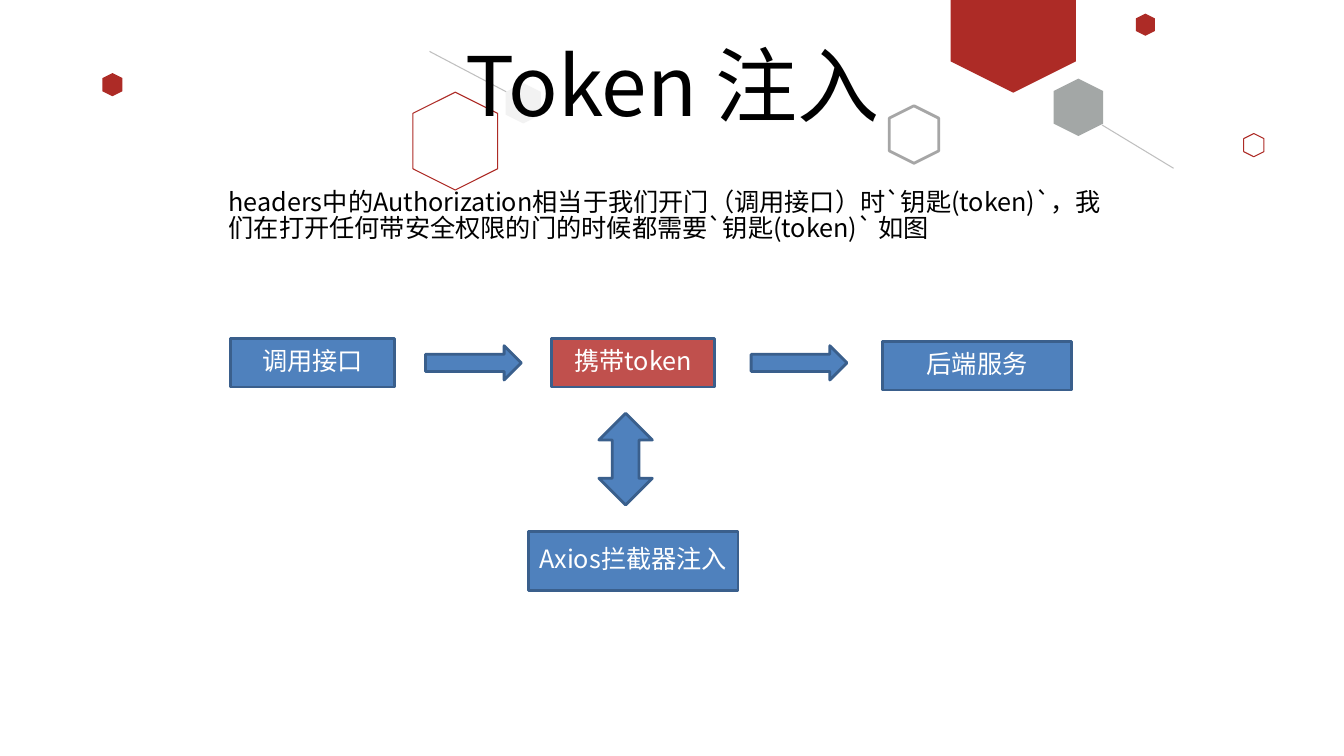
from lxml import etree
from pptx import Presentation
from pptx.dml.color import RGBColor
from pptx.enum.shapes import MSO_CONNECTOR, MSO_SHAPE
from pptx.enum.text import MSO_ANCHOR, MSO_AUTO_SIZE, PP_ALIGN
from pptx.oxml.ns import qn
from pptx.util import Pt

PX = 9144  # 100 px to the inch
FONT = "Noto Sans CJK JP"
COLORS = {
    "black": "000000", "white": "FFFFFF", "crimson": "AD2B26", "slate": "49504F",
    "gray": "A6A6A6", "silver": "BFBFBF", "pale": "F2F2F2",
    "blue": "4F81BD", "red": "C0504D", "edge": "3A5F8C",
}
HEXAGON, RECTANGLE = MSO_SHAPE.HEXAGON, MSO_SHAPE.RECTANGLE
RIGHT_ARROW, UP_DOWN_ARROW = MSO_SHAPE.RIGHT_ARROW, MSO_SHAPE.UP_DOWN_ARROW
STRAIGHT = MSO_CONNECTOR.STRAIGHT
TOP, MIDDLE = MSO_ANCHOR.TOP, MSO_ANCHOR.MIDDLE
LEFT, CENTER = PP_ALIGN.LEFT, PP_ALIGN.CENTER
NO_FIT = MSO_AUTO_SIZE.NONE


def color(name):
    return RGBColor.from_string(COLORS[name])


def emu(*lengths):
    return [length * PX for length in lengths]


def set_all(target, values):
    for name, value in values.items():
        setattr(target, name, value)


def paint(shape, fill=None, line=None, width=1):
    shape.shadow.inherit = False
    if fill:
        shape.fill.solid()
        shape.fill.fore_color.rgb = color(fill)
    else:
        shape.fill.background()
    if line:
        shape.line.color.rgb = color(line)
        shape.line.width = Pt(width)
    else:
        shape.line.fill.background()


def write(shape, text, size, ink, align, anchor, spacing):
    frame = shape.text_frame
    set_all(frame, {"word_wrap": True, "auto_size": NO_FIT, "vertical_anchor": anchor})
    para = frame.paragraphs[0]
    set_all(para, {"alignment": align, "line_spacing": spacing})
    span = para.add_run()
    span.text = text
    set_all(span.font, {"size": Pt(size), "name": FONT})
    span.font.color.rgb = color(ink)
    east_asian = etree.SubElement(span.font._element, qn("a:ea"))
    east_asian.set("typeface", FONT)


def add_decorations(page, box):
    left, top = box[:2]
    # Large crimson banner, cut by the top edge
    half, shoulder, tip = 62, 61, 92
    start = left + 943
    builder = page.shapes.build_freeform(start, top, scale=PX)
    builder.add_line_segments([
        (start + 2 * half, top), (start + 2 * half, top + shoulder),
        (start + half, top + tip), (start, top + shoulder)])
    paint(builder.convert_to_shape(), "crimson")

    # Hexagons standing on a point: x, y, width, height, fill, line, line width
    for x, y, width, height, fill, line, weight in (
        (1041, 82, 57, 49, "slate", None, 0),
        (878, 109, 57, 49, None, "gray", 2),
        (1125, 15, 22, 19, "crimson", None, 0),
        (403, 98, 97, 84, None, "crimson", 0.75),
        (1232, 134, 23, 20, None, "crimson", 0.75),
        (100, 74, 23, 20, "crimson", None, 0),
        (499, 85, 40, 35, "pale", None, 0),
    ):
        hexagon = page.shapes.add_shape(HEXAGON, *emu(left + x, top + y, width, height))
        hexagon.rotation = 90
        paint(hexagon, fill, line, weight)
        if fill == "slate":
            shade = hexagon.fill._xPr.find(".//" + qn("a:srgbClr"))
            etree.SubElement(shade, qn("a:alpha")).set("val", "50000")

    # Thin lines
    for x1, y1, x2, y2 in ((1093, 124, 1164, 167), (426, 51, 502, 91)):
        rule = page.shapes.add_connector(
            STRAIGHT, *emu(left + x1, top + y1, left + x2, top + y2))
        rule.line.color.rgb = color("silver")
        rule.line.width = Pt(0.75)
        etree.SubElement(rule._element.spPr, qn("a:effectLst"))


def add_title(page, box, text):
    title = page.shapes.title
    set_all(title, dict(zip(("left", "top", "width", "height"), emu(*box))))
    write(title, text, 58.6, "black", CENTER, TOP, 0.9)
    # Bring the title in front of the decorations
    title.element.getparent().append(title.element)


def add_explanation(page, box, text):
    note = page.shapes.add_textbox(*emu(*box))
    write(note, text, 18, "black", LEFT, TOP, 0.84)


def add_flow(page, box):
    left, top = box[:2]
    # Steps
    for x, y, width, height, fill, text in (
        (0, 0, 162, 48, "blue", "调用接口"),
        (318, 0, 162, 48, "red", "携带token"),
        (646, 3, 188, 48, "blue", "后端服务"),
        (295, 191, 208, 59, "blue", "Axios拦截器注入"),
    ):
        step = page.shapes.add_shape(RECTANGLE, *emu(left + x, top + y, width, height))
        paint(step, fill, "edge", 2)
        write(step, text, 18, "white", CENTER, MIDDLE, 0.84)
    # Arrows between the steps
    for kind, x, y, width, height in (
        (RIGHT_ARROW, 193, 7, 95, 34),
        (RIGHT_ARROW, 516, 7, 95, 34),
        (UP_DOWN_ARROW, 365, 74, 53, 91),
    ):
        arrow = page.shapes.add_shape(kind, *emu(left + x, top + y, width, height))
        paint(arrow, "blue", "edge", 2)


def main():
    deck = Presentation()
    deck.slide_width, deck.slide_height = emu(1333, 750)
    page = deck.slides.add_slide(deck.slide_layouts[5])
    add_decorations(page, (0, 0, 1333, 200))
    add_title(page, (92, 40, 1150, 145), "Token 注入")
    add_flow(page, (229, 336, 834, 250))
    add_explanation(
        page, (217, 185, 899, 71),
        "headers中的Authorization相当于我们开门（调用接口）时`钥匙(token)`，"
        "我们在打开任何带安全权限的门的时候都需要`钥匙(token)` 如图")
    deck.save("out.pptx")


if __name__ == "__main__":
    main()
